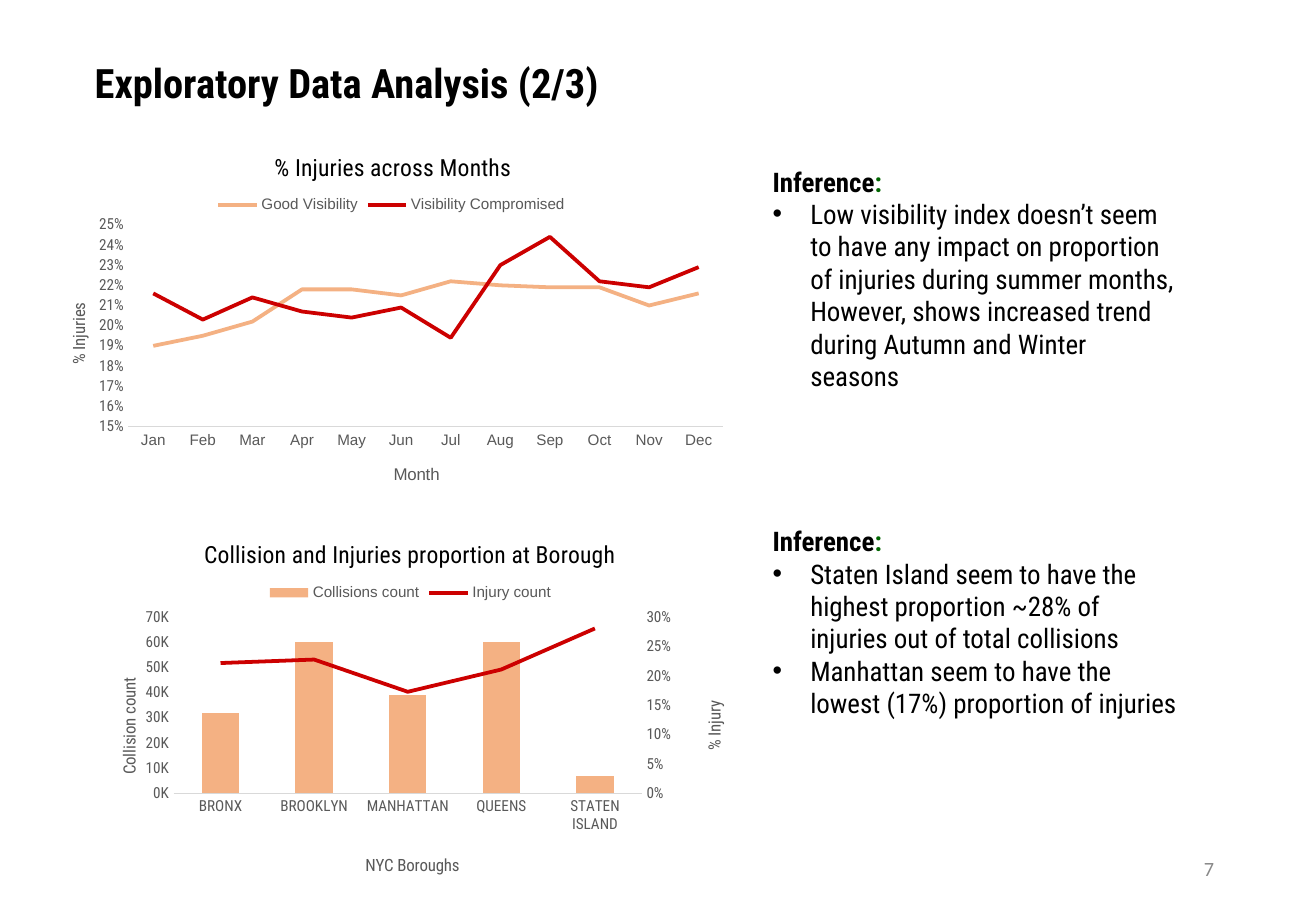
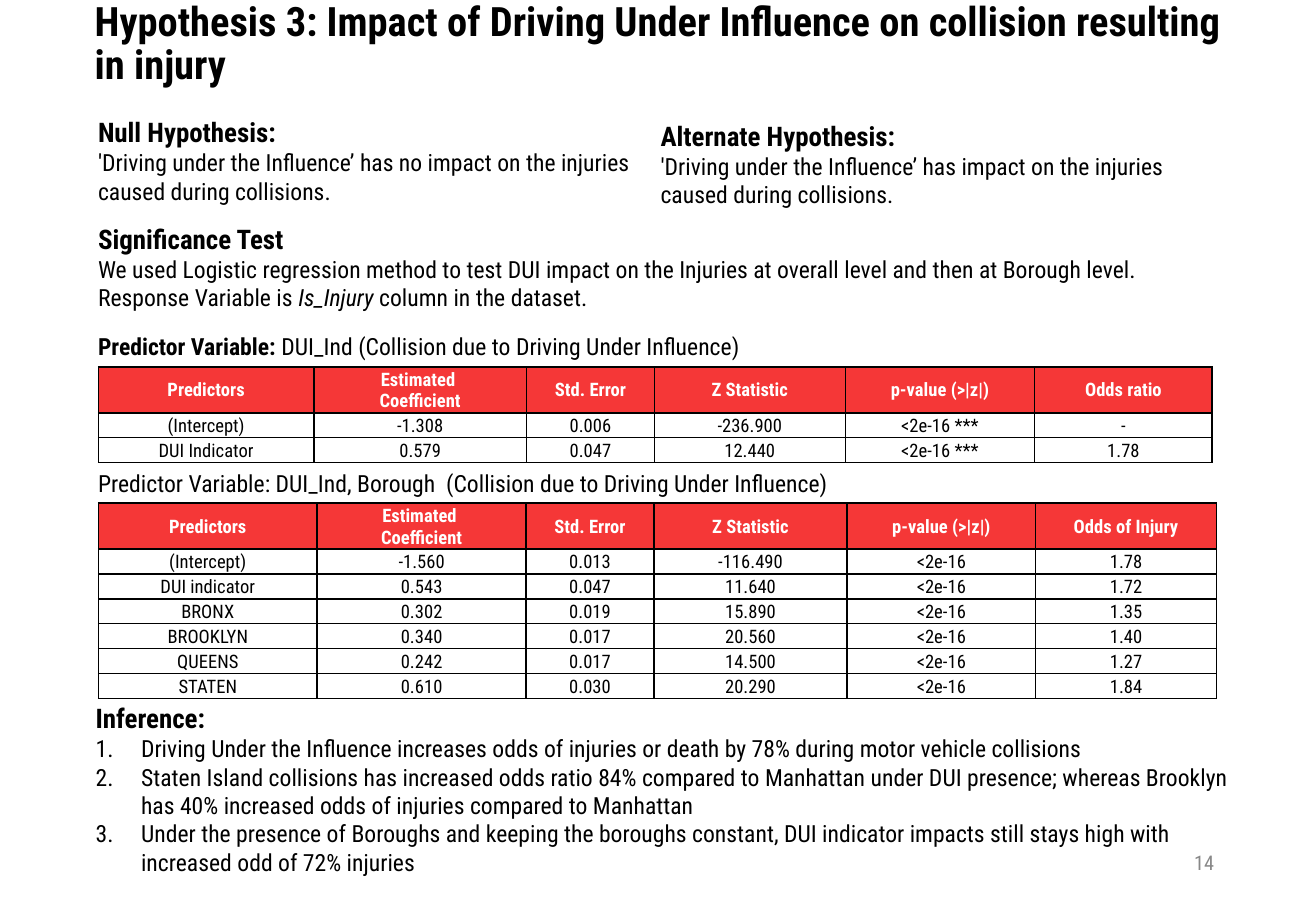
from copy import deepcopy

from pptx import Presentation
from pptx.chart.axis import ValueAxis
from pptx.chart.data import CategoryChartData as ChartData
from pptx.dml.color import RGBColor
from pptx.enum.chart import XL_CHART_TYPE as ChartType
from pptx.enum.chart import XL_LEGEND_POSITION as LegendPosition
from pptx.enum.chart import XL_MARKER_STYLE as Marker
from pptx.enum.chart import XL_TICK_MARK as TickMark
from pptx.enum.shapes import MSO_SHAPE as Preset
from pptx.enum.text import MSO_ANCHOR as Anchor
from pptx.enum.text import PP_ALIGN as Align
from pptx.oxml import parse_xml
from pptx.oxml.ns import nsdecls
from pptx.util import Cm, Pt

# Shared look
COLORS = {"black": "000000", "white": "FFFFFF", "gray": "595959", "pale": "888888",
          "axis": "D9D9D9", "orange": "F4B183", "red": "CC0000", "header": "F53737",
          "green": "006600"}
RGB = {name: RGBColor.from_string(code) for name, code in COLORS.items()}
CONDENSED = "Roboto Condensed"

BODY = {"name": CONDENSED, "size": Pt(14), "bold": False, "color": "black"}
TEXT = BODY | {"size": Pt(16)}
HEADING = TEXT | {"bold": True}
COLON = HEADING | {"color": "green"}
TITLE = HEADING | {"size": Pt(24)}
PAGE = BODY | {"size": Pt(12), "color": "pale"}
CELL = BODY | {"size": Pt(11)}
CELL_HEADER = CELL | {"bold": True, "color": "white"}
AXIS_TITLE = BODY | {"size": Pt(10), "color": "gray"}
TICKS = AXIS_TITLE | {"size": Pt(9)}
LEGEND = TICKS | {"name": "Arial"}

LISTS = {
    "bullet": (0.79, [f'<a:buFont {nsdecls("a")} typeface="Arial"/>',
                      f'<a:buChar {nsdecls("a")} char="•"/>']),
    "number": (0.95, [f'<a:buFont {nsdecls("a")} typeface="+mj-lt"/>',
                      f'<a:buAutoNum {nsdecls("a")} type="arabicPeriod"/>']),
}


def style(font, values):
    for name, value in values.items():
        if name == "color":
            font.color.rgb = RGB[value]
        else:
            setattr(font, name, value)


def write(box, paragraphs, anchor=Anchor.TOP, align=Align.LEFT, spacing=None):
    """Each paragraph is a list kind (or None) followed by (text, format) runs."""
    frame = box.text_frame
    frame.word_wrap = True
    frame.vertical_anchor = anchor
    for number, (kind, *runs) in enumerate(paragraphs):
        paragraph = frame.add_paragraph() if number else frame.paragraphs[0]
        paragraph.alignment = align
        paragraph.line_spacing = spacing
        for text, values in runs:
            run = paragraph.add_run()
            run.text = text
            style(run.font, values)
        if kind:
            indent, marks = LISTS[kind]
            properties = paragraph._p.get_or_add_pPr()
            properties.set("marL", str(Cm(indent)))
            properties.set("indent", str(-Cm(indent)))
            for mark in marks:
                properties.append(parse_xml(mark))


deck = Presentation()
deck.slide_width, deck.slide_height = Cm(27.51), Cm(19.05)

# Titles and page numbers
pages = []
for heading, top, height, page_name, page_top, page_font in [
    ("Exploratory Data Analysis (2/3)", 0.33, 2.03, "7", 17.65, "Calibri"),
    ("Hypothesis 3: Impact of Driving Under Influence on collision resulting in injury",
     0.61, 1.37, "14", 17.53, CONDENSED),
]:
    page = deck.slides.add_slide(deck.slide_layouts[6])
    pages.append(page)
    write(page.shapes.add_textbox(Cm(1.73), Cm(top), Cm(24.43), Cm(height)),
          [(None, (heading, TITLE))], Anchor.BOTTOM, spacing=0.9)
    write(page.shapes.add_textbox(Cm(19.43), Cm(page_top), Cm(6.2), Cm(1.02)),
          [(None, (page_name, PAGE | {"name": page_font}))], Anchor.MIDDLE, Align.RIGHT)
exploration, hypothesis = pages

# Chart data
months = ChartData(number_format="0%")
months.categories = ["Jan", "Feb", "Mar", "Apr", "May", "Jun",
                     "Jul", "Aug", "Sep", "Oct", "Nov", "Dec"]
months.add_series("Good Visibility", [0.19, 0.195, 0.202, 0.218, 0.218, 0.215,
                                      0.222, 0.22, 0.219, 0.219, 0.21, 0.216])
months.add_series("Visibility Compromised", [0.216, 0.203, 0.214, 0.207, 0.204, 0.209,
                                             0.194, 0.23, 0.244, 0.222, 0.219, 0.229])
boroughs = ChartData()
boroughs.categories = ["BRONX", "BROOKLYN", "MANHATTAN", "QUEENS", "STATEN ISLAND"]
boroughs.add_series("Collisions count", [32000, 60000, 39000, 60000, 7000])
boroughs.add_series("Injury count", [0.222, 0.228, 0.173, 0.211, 0.281], "0%")

# Places are fractions of the chart; titles go chart, category axis, value axes
CHARTS = [
    {"kind": ChartType.LINE_MARKERS, "data": months, "box": (0.76, 2.59, 14.81, 7.82),
     "title": "% Injuries across Months", "x": "Month", "y": "% Injuries",
     "x_font": "Arial", "format": "0%",
     "scale": {"minimum_scale": 0.15, "maximum_scale": 0.25, "major_unit": 0.01},
     "plot": (0.13, 0.27, 0.84, 0.54), "legend": (0.25, 0.18),
     "titles": [(0.33, 0.06), (0.5, 0.9), (0.04, 0.47)]},
    {"kind": ChartType.COLUMN_CLUSTERED, "data": boroughs, "box": (1.73, 10.67, 13.59, 8),
     "title": "Collision and Injuries proportion at Borough", "x": "NYC Boroughs",
     "y": "Collision count", "x_font": CONDENSED, "format": '0,"K"',
     "scale": {"minimum_scale": 0, "maximum_scale": 70000, "major_unit": 10000},
     "plot": (0.14, 0.28, 0.72, 0.46), "legend": (0.28, 0.18),
     "titles": [(0.18, 0.06), (0.43, 0.89), (0.05, 0.43), (0.95, 0.49)]},
]

for facts in CHARTS:
    chart = exploration.shapes.add_chart(
        facts["kind"], *map(Cm, facts["box"]), facts["data"]).chart
    style(chart.font, {"name": "Arial", "size": Pt(10), "color": "black"})
    chart.has_title = chart.has_legend = True
    chart.legend.position = LegendPosition.TOP
    chart.legend.include_in_layout = False
    style(chart.legend.font, LEGEND)
    x_axis, y_axis = chart.category_axis, chart.value_axis

    # Titles
    x_font = {"name": facts["x_font"]}
    for owner, text, values in [(chart.chart_title, facts["title"], BODY),
                                (x_axis.axis_title, facts["x"], AXIS_TITLE | x_font),
                                (y_axis.axis_title, facts["y"], AXIS_TITLE)]:
        run = owner.text_frame.paragraphs[0].add_run()
        run.text = text
        style(run.font, values)
    for body in chart.element.xpath(".//c:valAx/c:title//a:bodyPr"):
        body.set("rot", "-5400000")
        body.set("vert", "horz")

    # Axes
    for axis, values in [(x_axis, TICKS | x_font), (y_axis, TICKS)]:
        axis.has_major_gridlines = False
        axis.major_tick_mark = axis.minor_tick_mark = TickMark.NONE
        style(axis.tick_labels.font, values)
    x_axis.format.line.color.rgb = RGB["axis"]
    x_axis.format.line.width = Pt(0.75)
    y_axis.format.line.fill.background()
    y_axis.tick_labels.number_format = facts["format"]
    y_axis.tick_labels.number_format_is_linked = False
    for name, value in facts["scale"].items():
        setattr(y_axis, name, value)

    # Injury share as a line on a second axis
    plot_area = chart.element.xpath("c:chart/c:plotArea")[0]
    if facts["data"] is boroughs:
        chart.plots[0].gap_width = 150
        injury = plot_area.xpath("c:barChart/c:ser")[1]
        for flag in injury.xpath("c:invertIfNegative"):
            injury.remove(flag)
        line_plot = parse_xml(
            f'<c:lineChart {nsdecls("c")}><c:grouping val="standard"/>'
            '<c:varyColors val="0"/><c:marker val="1"/>'
            '<c:axId val="301"/><c:axId val="302"/></c:lineChart>')
        line_plot.insert(2, injury)
        plot_area.xpath("c:barChart")[0].addnext(line_plot)
        share_axis = deepcopy(plot_area.xpath("c:valAx")[0])
        hidden_axis = deepcopy(plot_area.xpath("c:catAx")[0])
        for title in hidden_axis.xpath("c:title"):
            hidden_axis.remove(title)
        plot_area.xpath("c:valAx")[0].addnext(share_axis)
        share_axis.addnext(hidden_axis)
        for axis, settings in [
            (share_axis, {"axId": "302", "crossAx": "301", "axPos": "r", "crosses": "max"}),
            (hidden_axis, {"axId": "301", "crossAx": "302", "delete": "1"}),
        ]:
            for tag, value in settings.items():
                axis.xpath(f"c:{tag}")[0].set("val", value)
        share = ValueAxis(share_axis)
        share.maximum_scale, share.major_unit = 0.3, 0.05
        share.tick_labels.number_format = "0%"
        share.axis_title.text_frame.paragraphs[0].runs[0].text = "% Injury"

    # Series colours
    for plot in chart.plots:
        plot.vary_by_categories = False
    for series, color in zip([s for plot in chart.plots for s in plot.series],
                             ["orange", "red"]):
        if hasattr(series, "smooth"):
            series.smooth = False
            series.marker.style = Marker.NONE
            series.format.line.color.rgb = RGB[color]
            series.format.line.width = Pt(2.25)
        else:
            series.format.fill.solid()
            series.format.fill.fore_color.rgb = RGB[color]

    # Places of plot, legend and titles
    places = [(plot_area, 0, facts["plot"]),
              (chart.element.xpath("c:chart/c:legend")[0], 1, facts["legend"])]
    places += [(title, 1, spot) for title, spot
               in zip(chart.element.xpath(".//c:title"), facts["titles"])]
    for part, index, spot in places:
        for layout in part.xpath("c:layout"):
            part.remove(layout)
        target = '<c:layoutTarget val="inner"/>' if part is plot_area else ""
        sizes = "".join(f'<c:{side} val="{value}"/>' for side, value in zip("xywh", spot))
        part.insert(index, parse_xml(
            f'<c:layout {nsdecls("c")}><c:manualLayout>{target}<c:xMode val="edge"/>'
            f'<c:yMode val="edge"/>{sizes}</c:manualLayout></c:layout>'))

# Inferences beside the charts
for top, height, points in [
    (3.33, 5.77, ["Low visibility index doesn’t seem to have any impact on proportion of "
                  "injuries during summer months, However, shows increased trend during "
                  "Autumn and Winter seasons"]),
    (10.85, 6.5, ["Staten Island seem to have the highest proportion ~28% of injuries "
                  "out of total collisions",
                  "Manhattan seem to have the lowest (17%) proportion of injuries"]),
]:
    write(exploration.shapes.add_textbox(Cm(15.9), Cm(top), Cm(9.04), Cm(height)),
          [(None, ("Inference", HEADING), (":", COLON))]
          + [("bullet", (point, TEXT)) for point in points])

# The two hypotheses
for left, top, name, claim in [(1.8, 2.34, "Null", "no impact"),
                               (13.56, 2.41, "Alternate", "impact")]:
    panel = hypothesis.shapes.add_shape(Preset.RECTANGLE, Cm(left), Cm(top),
                                        Cm(11.86), Cm(2.03))
    panel.shadow.inherit = False
    panel.fill.solid()
    panel.fill.fore_color.rgb = RGB["white"]
    panel.line.fill.background()
    write(panel, [(None, (f"{name} Hypothesis:", HEADING)),
                  (None, (f"'Driving under the Influence’ has {claim} on the injuries "
                          "caused during collisions.", BODY))], Anchor.MIDDLE)

# Test, table captions and inference
for left, top, width, height, paragraphs in [
    (1.8, 4.52, 23.62, 2.03, [
        (None, ("Significance Test", HEADING)),
        (None, ("We used Logistic regression method to test DUI impact on the Injuries at "
                "overall level and then at Borough level. Response Variable is ", BODY),
         ("Is_Injury ", BODY | {"italic": True}), ("column in the dataset.", BODY))]),
    (1.8, 6.81, 23.62, 0.84, [
        (None, ("Predictor Variable: ", BODY | {"bold": True}),
         ("DUI_Ind (Collision due to Driving Under Influence)", BODY))]),
    (1.8, 9.68, 23.62, 0.84, [
        (None, ("Predictor Variable: DUI_Ind, Borough  (Collision due to Driving Under "
                "Influence)", BODY))]),
    (1.75, 14.55, 24.43, 4.01, [
        (None, ("Inference:", HEADING)),
        ("number", ("Driving Under the Influence increases odds of injuries or death by 78% "
                    "during motor vehicle collisions", BODY)),
        ("number", ("Staten Island collisions has increased odds ratio 84% compared to "
                    "Manhattan under DUI presence; whereas Brooklyn has 40% increased odds "
                    "of injuries compared to Manhattan", BODY)),
        ("number", ("Under the presence of Boroughs and keeping the boroughs constant, DUI "
                    "indicator impacts still stays high with increased odd of 72% injuries",
                    BODY))]),
]:
    write(hypothesis.shapes.add_textbox(Cm(left), Cm(top), Cm(width), Cm(height)), paragraphs)

# Regression tables
COLUMNS = ["Predictors", "Estimated \nCoefficient", "Std. Error", "Z Statistic",
           "p-value (>|z|)"]
MARGINS = {"margin_left": Cm(0.03), "margin_right": Cm(0.03), "margin_top": Cm(0.03),
           "margin_bottom": Cm(0), "vertical_anchor": Anchor.MIDDLE}
for top, widths, last_column, p_value, results in [
    (7.67, [4.5, 4.45, 2.67, 3.99, 3.96, 3.71], "Odds ratio", "<2e-16 ***", [
        ("(Intercept)", "-1.308", "0.006", "-236.900", "-"),
        ("DUI Indicator", "0.579", "0.047", "12.440", "1.78")]),
    (10.52, [4.57, 4.37, 2.67, 4.04, 3.94, 3.78], "Odds of Injury", "<2e-16", [
        ("(Intercept)", "-1.560", "0.013", "-116.490", "1.78"),
        ("DUI indicator", "0.543", "0.047", "11.640", "1.72"),
        ("BRONX", "0.302", "0.019", "15.890", "1.35"),
        ("BROOKLYN", "0.340", "0.017", "20.560", "1.40"),
        ("QUEENS", "0.242", "0.017", "14.500", "1.27"),
        ("STATEN", "0.610", "0.030", "20.290", "1.84")]),
]:
    rows = [COLUMNS + [last_column]] + [[*row[:4], p_value, row[4]] for row in results]
    heights = [0.92] + [0.52] * len(results)
    table = hypothesis.shapes.add_table(len(rows), len(widths), Cm(2.06), Cm(top),
                                        Cm(sum(widths)), Cm(sum(heights))).table
    table.first_row = table.horz_banding = False
    for column, width in zip(table.columns, widths):
        column.width = Cm(width)
    for r, (row, height) in enumerate(zip(rows, heights)):
        table.rows[r].height = Cm(height)
        for c, text in enumerate(row):
            cell = table.cell(r, c)
            cell.text = text
            for name, value in MARGINS.items():
                setattr(cell, name, value)
            for paragraph in cell.text_frame.paragraphs:
                paragraph.alignment = Align.CENTER
                style(paragraph.runs[0].font, CELL if r else CELL_HEADER)
            if r:
                cell.fill.background()
            else:
                cell.fill.solid()
                cell.fill.fore_color.rgb = RGB["header"]
            for index, side in enumerate("LRTB"):
                cell._tc.get_or_add_tcPr().insert(index, parse_xml(
                    f'<a:ln{side} {nsdecls("a")} w="{Pt(1)}"><a:solidFill>'
                    f'<a:srgbClr val="{COLORS["black"]}"/></a:solidFill></a:ln{side}>'))

deck.save("out.pptx")
